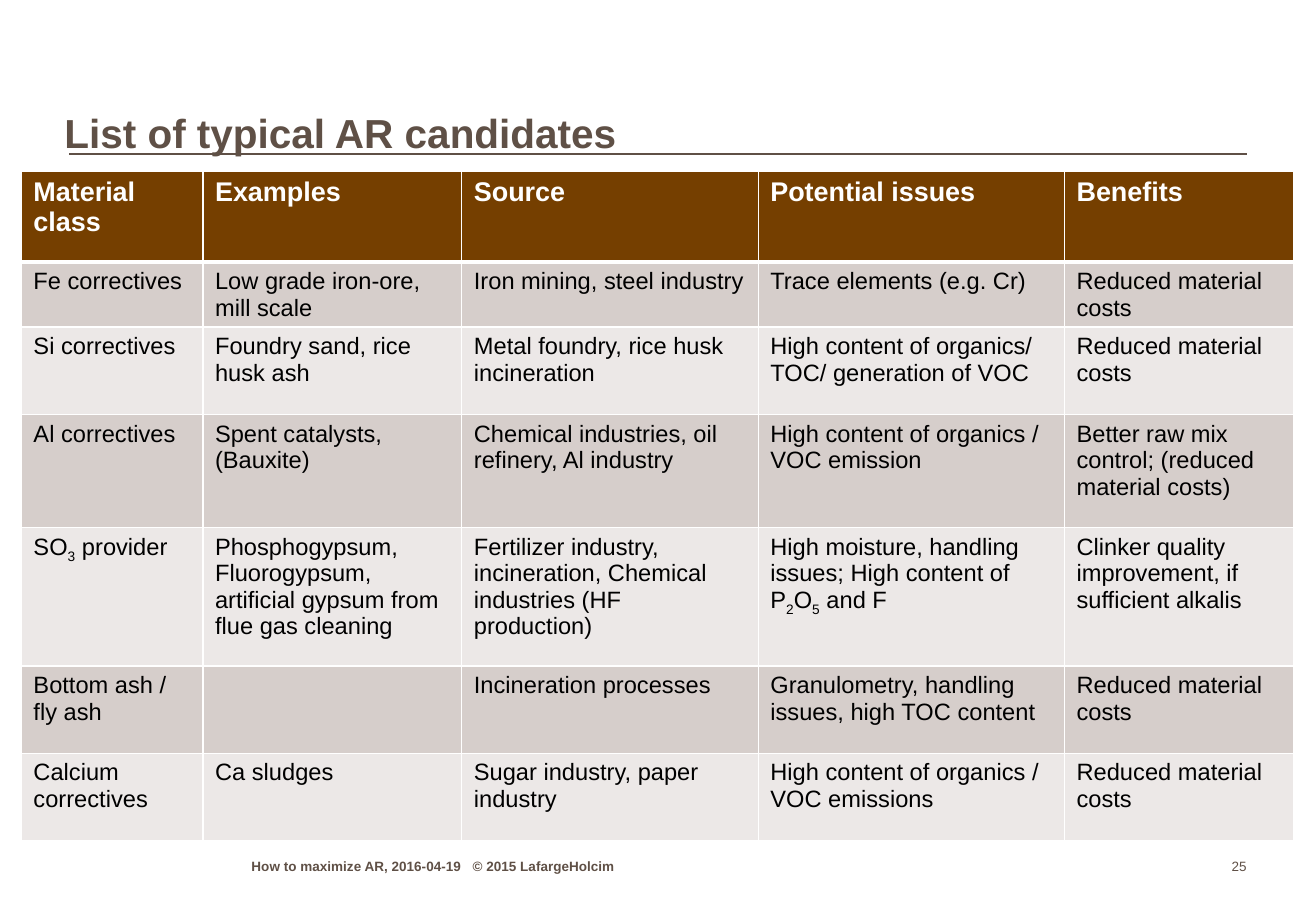
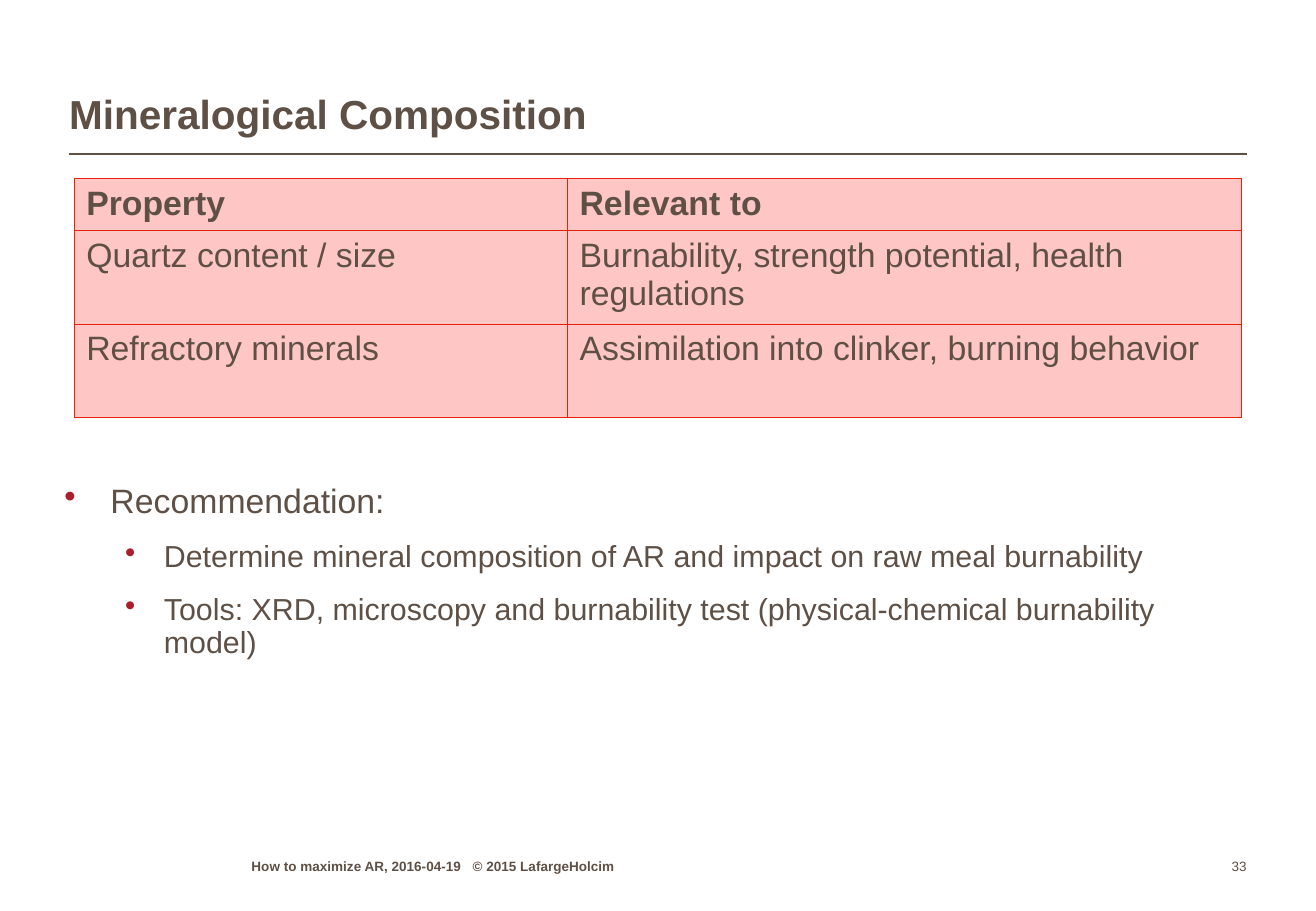
from lxml.etree import SubElement
from pptx import Presentation
from pptx.dml.color import RGBColor
from pptx.enum.shapes import MSO_CONNECTOR
from pptx.enum.text import MSO_ANCHOR, MSO_AUTO_SIZE, PP_ALIGN
from pptx.oxml import parse_xml
from pptx.oxml.ns import nsdecls, qn
from pptx.util import Inches, Pt

WIDTH, HEIGHT = Inches(10.83), Inches(7.5)
FONT = "Arial"
BROWN, WHITE, BLACK = "5F5046", "FFFFFF", "000000"
HEADER, BAND_DARK, BAND_LIGHT = "753F00", "D6CECB", "ECE8E7"
PINK, RED, BULLET_RED = "FFC6C6", "E62309", "AA1E2D"


def grid(*shares):
    """Turn percentages, alternately of slide width and height, into lengths."""
    return [round(share * side / 100) for share, side in zip(shares, (WIDTH, HEIGHT) * 2)]


def write(paragraph, text, size=14, color=BROWN, bold=False, align=PP_ALIGN.LEFT,
          spacing=None, before=None, bullet=None, indent=None, tab=None):
    """Fill a paragraph; text between ~ marks becomes subscript."""
    properties = paragraph._p.get_or_add_pPr()
    if indent:
        left, hanging = indent
        properties.set("marL", str(Inches(left)))
        properties.set("indent", str(Inches(-hanging)))
    if bullet:
        tint = SubElement(properties, qn("a:buClr"))
        SubElement(tint, qn("a:srgbClr"), val=bullet)
        SubElement(properties, qn("a:buChar"), char="•")
    if tab:
        stops = SubElement(properties, qn("a:tabLst"))
        SubElement(stops, qn("a:tab"), pos=str(Inches(tab)), algn="l")
    paragraph.alignment = align
    if spacing:
        paragraph.line_spacing = spacing
    if before:
        paragraph.space_before = Pt(before)
    for position, part in enumerate(text.split("~")):
        run = paragraph.add_run()
        run.text = part
        run.font.name, run.font.size, run.font.bold = FONT, Pt(size), bold
        run.font.color.rgb = RGBColor.from_string(color)
        if position % 2:
            run._r.get_or_add_rPr().set("baseline", "-25000")


candidates = [
    ["Material class", "Examples", "Source", "Potential issues", "Benefits"],
    ["Fe correctives", "Low grade iron-ore, mill scale", "Iron mining, steel industry",
     "Trace elements (e.g. Cr)", "Reduced material costs"],
    ["Si correctives", "Foundry sand, rice husk ash", "Metal foundry, rice husk incineration",
     "High content of organics/ TOC/ generation of VOC", "Reduced material costs"],
    ["Al correctives", "Spent catalysts, (Bauxite)",
     "Chemical industries, oil refinery, Al industry",
     "High content of organics / VOC emission",
     "Better raw mix control; (reduced material costs)"],
    ["SO~3~ provider", "Phosphogypsum, Fluorogypsum, artificial gypsum from flue gas cleaning",
     "Fertilizer industry, incineration, Chemical industries (HF production)",
     "High moisture, handling issues; High content of P~2~O~5~ and F",
     "Clinker quality improvement, if sufficient alkalis"],
    ["Bottom ash / fly ash", "", "Incineration processes",
     "Granulometry, handling issues, high TOC content", "Reduced material costs"],
    ["Calcium correctives", "Ca sludges", "Sugar industry, paper industry",
     "High content of organics / VOC emissions", "Reduced material costs"],
]
properties_table = [
    ["Property", "Relevant to"],
    ["Quartz content / size", "Burnability, strength potential, health regulations"],
    ["Refractory minerals", "Assimilation into clinker, burning behavior"],
]
pages = [
    dict(title="List of typical AR candidates", title_at=(4.89, 5.87, 88.64, 11.5), number="25",
         rows=candidates, corner=(1.62, 18.75), columns=(13.8, 19.67, 22.53, 23.27, 17.45),
         heights=(10, 6.8, 9.6, 12.4, 15.2, 9.6, 9.6), fills=(HEADER, BAND_DARK, BAND_LIGHT),
         head=dict(size=16, color=WHITE, bold=True), body=dict(size=14, color=BLACK),
         border=(WHITE, 1), head_line=3),
    dict(title="Mineralogical Composition", title_at=(5.26, 2.8, 89.47, 12.4), number="33",
         rows=properties_table, corner=(5.63, 19.6), columns=(37.49, 51.25),
         heights=(5.73, 10.27, 10.27), fills=(PINK, PINK, PINK),
         head=dict(size=20, bold=True), body=dict(size=20),
         border=(RED, 0.75), head_line=0.75),
]

deck = Presentation()
deck.slide_width, deck.slide_height = WIDTH, HEIGHT

for page in pages:
    slide = deck.slides.add_slide(deck.slide_layouts[5])

    rule = slide.shapes.add_connector(MSO_CONNECTOR.STRAIGHT, *grid(5.26, 16.93, 94.74, 16.93))
    rule.line.color.rgb, rule.line.width = RGBColor.from_string(BROWN), Pt(1)
    SubElement(rule._element.spPr, qn("a:effectLst"))

    title = slide.shapes.title
    title.left, title.top, title.width, title.height = grid(*page["title_at"])
    footer = slide.shapes.add_textbox(*grid(19.11, 93.6, 32.04, 2.4))
    number = slide.shapes.add_textbox(*grid(90.4, 93.6, 4.34, 2.4))
    for holder, text, style in (
        (title, page["title"], dict(size=24, bold=True, spacing=0.95)),
        (footer, "How to maximize AR, 2016-04-19\t© 2015 LafargeHolcim",
         dict(size=8, bold=True, tab=1.82)),
        (number, page["number"], dict(size=8, align=PP_ALIGN.RIGHT)),
    ):
        frame = holder.text_frame
        frame.margin_left = frame.margin_top = frame.margin_right = frame.margin_bottom = 0
        frame.word_wrap, frame.auto_size = True, MSO_AUTO_SIZE.NONE
        frame.vertical_anchor = MSO_ANCHOR.BOTTOM
        write(frame.paragraphs[0], text, **style)

    rows, columns, heights = page["rows"], page["columns"], page["heights"]
    area = grid(*page["corner"], sum(columns), sum(heights))
    table = slide.shapes.add_table(len(rows), len(columns), *area).table
    table.first_row = table.horz_banding = False
    for column, share in zip(table.columns, columns):
        column.width = grid(share)[0]
    for row, share in zip(table.rows, heights):
        row.height = grid(0, share)[1]
    line_color, line_width = page["border"]
    for r, texts in enumerate(rows):
        fill = page["fills"][0 if r == 0 else 2 - r % 2]
        widths = dict(L=line_width, R=line_width,
                      T=page["head_line"] if r == 1 else line_width,
                      B=page["head_line"] if r == 0 else line_width)
        for c, text in enumerate(texts):
            cell = table.cell(r, c)
            cell.fill.solid()
            cell.fill.fore_color.rgb = RGBColor.from_string(fill)
            for order, (side, width) in enumerate(widths.items()):
                cell._tc.get_or_add_tcPr().insert(order, parse_xml(
                    f'<a:ln{side} {nsdecls("a")} w="{Pt(width)}"><a:solidFill>'
                    f'<a:srgbClr val="{line_color}"/></a:solidFill></a:ln{side}>'))
            if text:
                write(cell.text_frame.paragraphs[0], text, **page["body" if r else "head"])

advice = slide.shapes.add_textbox(*grid(4.89, 53.2, 88.73, 38)).text_frame
advice.margin_left = advice.margin_top = advice.margin_right = advice.margin_bottom = 0
advice.word_wrap = True
write(advice.paragraphs[0], "Recommendation:", size=20, spacing=0.9,
      bullet=BULLET_RED, indent=(0.38, 0.38))
for step in (
    "Determine mineral composition of AR and impact on raw meal burnability",
    "Tools: XRD, microscopy and burnability test (physical-chemical burnability model)",
):
    paragraph = advice.add_paragraph()
    paragraph.level = 1
    write(paragraph, step, size=18, spacing=0.9, before=12,
          bullet=BULLET_RED, indent=(0.82, 0.32))

deck.save("out.pptx")
